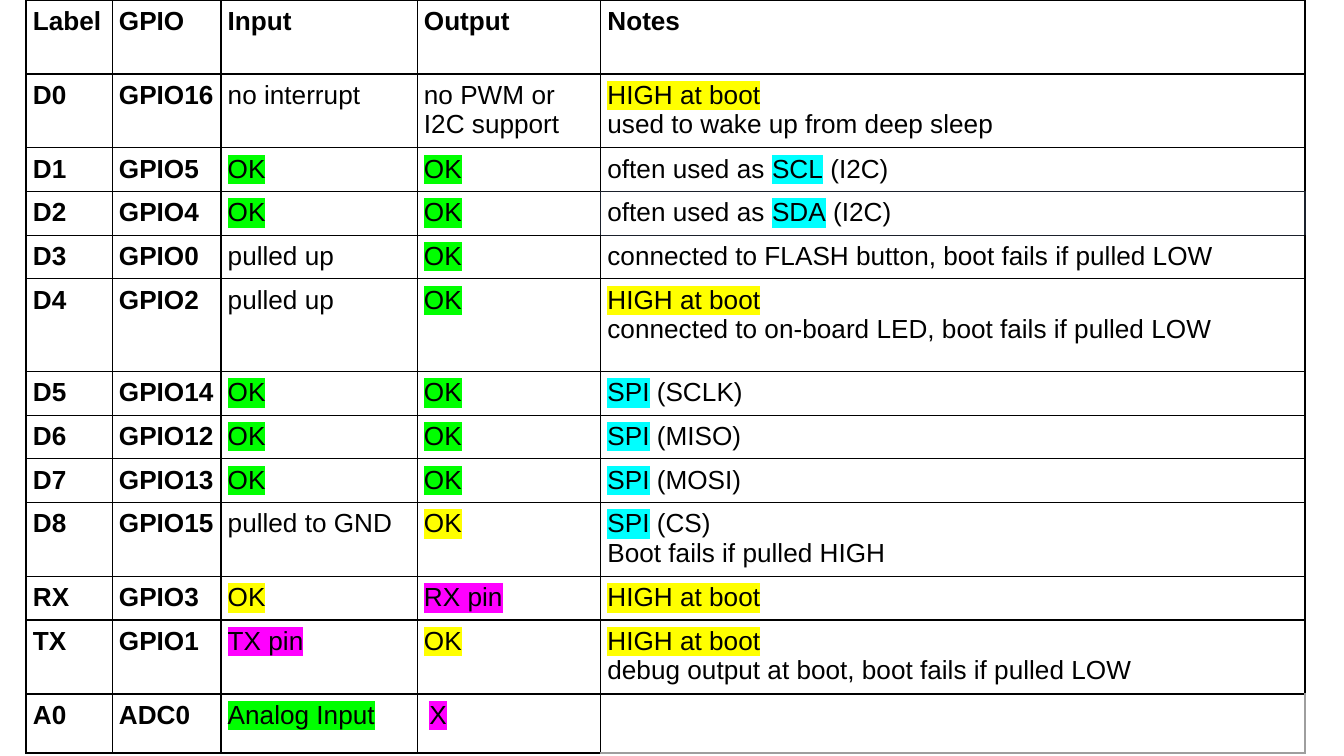
from lxml.etree import SubElement
from pptx import Presentation
from pptx.dml.color import RGBColor
from pptx.oxml.ns import qn
from pptx.util import Emu, Pt

PX = 4572
COLORS = {
    "black": "000000", "ink": "1B212C", "gray": "9E9E9E",
    "green": "00FF00", "yellow": "FFFF00", "cyan": "00FFFF", "magenta": "FF00FF",
}
COLS = [128, 162, 292, 273, 1048]
ROWS = [110, 110, 65, 65, 65, 138, 65, 65, 65, 110, 65, 110, 88]
INSET = 10
INDENT = 8
NOTES = 4


def px(n):
    """Turn px into EMU."""
    return Emu(n * PX)


def plain(*lines):
    """Return lines that hold one unmarked run each."""
    return [[(line, None)] for line in lines]


def marked(text, color, before="", after=""):
    """Return one line with a highlighted run and optional plain neighbours."""
    runs = [(before, None), (text, color), (after, None)]
    return [[run for run in runs if run[0]]]


OK = marked("OK", "green")
WARN = marked("OK", "yellow")
HIGH = marked("HIGH at boot", "yellow")


def bus(text, after, before=""):
    """Return a line that highlights a bus name."""
    return marked(text, "cyan", before, after)


PINS = [
    ("Label", "GPIO", plain("Input"), plain("Output"), plain("Notes")),
    ("D0", "GPIO16", plain("no interrupt"), plain("no PWM or I2C support"),
     HIGH + plain("used to wake up from deep sleep")),
    ("D1", "GPIO5", OK, OK, bus("SCL", " (I2C)", "often used as ")),
    ("D2", "GPIO4", OK, OK, bus("SDA", " (I2C)", "often used as ")),
    ("D3", "GPIO0", plain("pulled up"), OK,
     plain("connected to FLASH button, boot fails if pulled LOW")),
    ("D4", "GPIO2", plain("pulled up"), OK,
     HIGH + plain("connected to on-board LED, boot fails if pulled LOW")),
    ("D5", "GPIO14", OK, OK, bus("SPI", " (SCLK)")),
    ("D6", "GPIO12", OK, OK, bus("SPI", " (MISO)")),
    ("D7", "GPIO13", OK, OK, bus("SPI", " (MOSI)")),
    ("D8", "GPIO15", plain("pulled to GND"), WARN,
     bus("SPI", " (CS)") + plain("Boot fails if pulled HIGH")),
    ("RX", "GPIO3", WARN, marked("RX pin", "magenta"), HIGH),
    ("TX", "GPIO1", marked("TX pin", "magenta"), WARN,
     HIGH + plain("debug output at boot, boot fails if pulled LOW")),
    ("A0", "ADC0", marked("Analog Input", "green"), marked("X", "magenta"), []),
]


def border_specs(row, col):
    """Return the colour and width of each side of a cell."""
    sides = {side: ("black", 0.75) for side in "LRTB"}
    if row == 0:
        sides["T"] = ("black", 1)
    if col == 0:
        sides["L"] = ("black", 1)
    label = PINS[row][0]
    if col == NOTES:
        inked = {"D1": "B", "D2": "LRTB", "D3": "T"}.get(label, "")
        sides.update({side: ("ink", 0.75) for side in inked})
        if label == "A0":
            sides.update(R=("gray", 0.75), B=("gray", 0.75))
    elif col == NOTES - 1 and label == "D2":
        sides["R"] = ("ink", 0.75)
    return sides


def set_borders(cell, sides):
    """Draw the four sides of a cell."""
    tc_pr = cell._tc.get_or_add_tcPr()
    for side, (color, width) in sides.items():
        ln = SubElement(tc_pr, qn(f"a:ln{side}"), w=str(Pt(width)))
        fill = SubElement(ln, qn("a:solidFill"))
        SubElement(fill, qn("a:srgbClr"), val=COLORS[color])


def add_run(p, text, highlight, bold):
    """Add one formatted run to a paragraph."""
    r = p.add_run()
    r.text = text
    font = r.font
    font.size, font.bold = Pt(14), bold
    font.color.rgb = RGBColor.from_string(COLORS["black"])
    if highlight:
        mark = SubElement(r._r.get_or_add_rPr(), qn("a:highlight"))
        SubElement(mark, qn("a:srgbClr"), val=COLORS[highlight])
    font.name = "Arial"


def fill_cell(cell, lines, bold):
    """Write the lines of a cell and set its insets."""
    cell.margin_left = cell.margin_right = px(INSET)
    cell.margin_top = cell.margin_bottom = px(INSET)
    tf = cell.text_frame
    for i, line in enumerate(lines):
        p = tf.add_paragraph() if i else tf.paragraphs[0]
        for text, highlight in line:
            add_run(p, text, highlight, bold)
            if text == "X":
                p._p.get_or_add_pPr().set("marL", str(px(INDENT)))


def add_pin_table(slide, left, top):
    """Build the pin table with its corner at left, top."""
    frame = slide.shapes.add_table(
        len(ROWS), len(COLS), px(left), px(top), px(sum(COLS)), px(sum(ROWS)))
    table = frame.table
    table.first_row = table.horz_banding = False
    for column, width in zip(table.columns, COLS):
        column.width = px(width)
    for row, height in zip(table.rows, ROWS):
        row.height = px(height)
    for i, (label, gpio, *rest) in enumerate(PINS):
        for j, lines in enumerate([plain(label), plain(gpio), *rest]):
            cell = table.cell(i, j)
            set_borders(cell, border_specs(i, j))
            cell.fill.background()
            fill_cell(cell, lines, bold=i == 0 or j < 2)


def main():
    """Build and save the slide."""
    prs = Presentation()
    prs.slide_width, prs.slide_height = px(2000), px(1125)
    s = prs.slides.add_slide(prs.slide_layouts[6])
    add_pin_table(s, 39, 0)
    prs.save("out.pptx")


if __name__ == "__main__":
    main()
